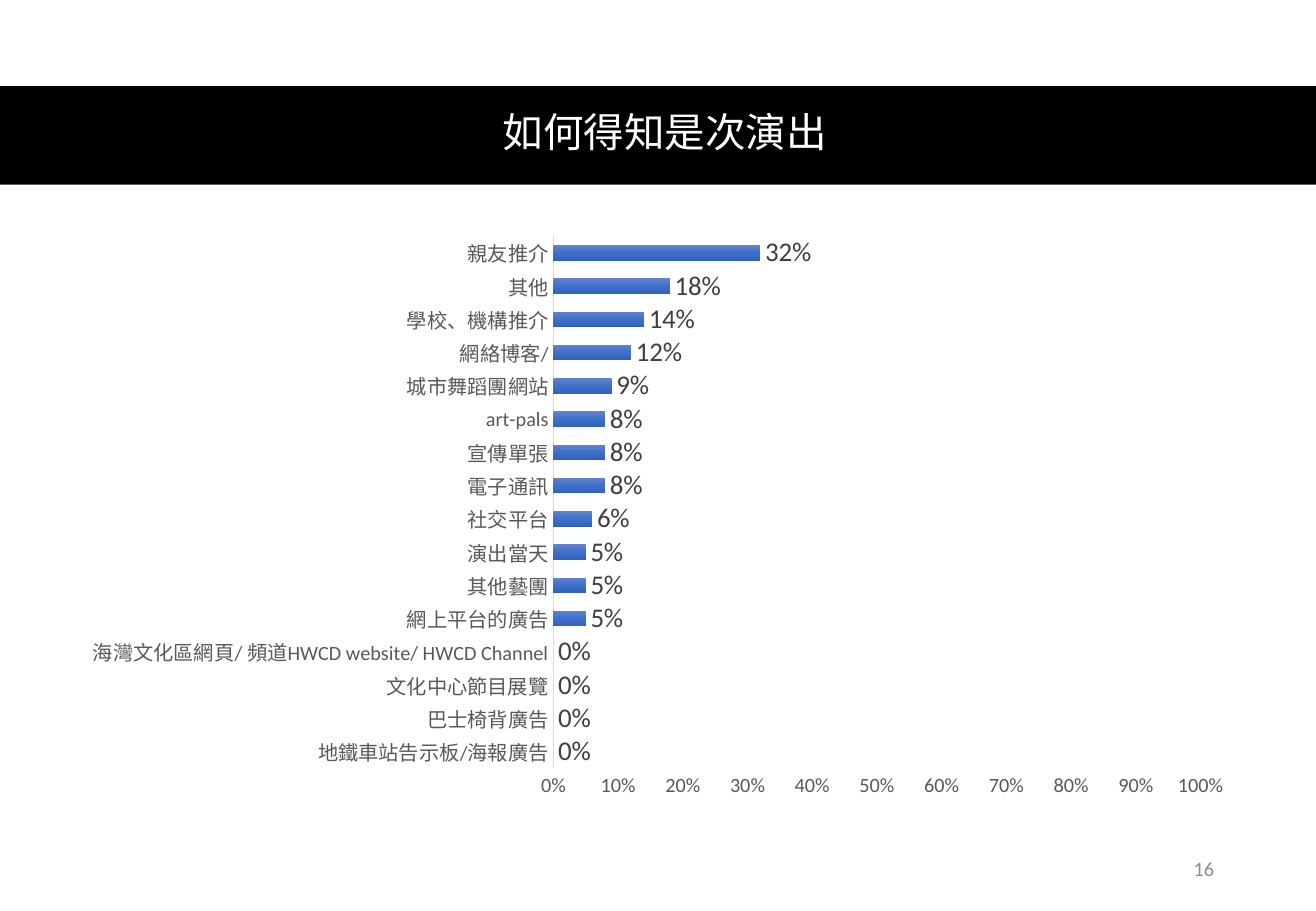
from copy import deepcopy

from pptx import Presentation
from pptx.chart.data import CategoryChartData
from pptx.dml.color import RGBColor
from pptx.enum.chart import XL_CHART_TYPE, XL_LABEL_POSITION, XL_TICK_MARK
from pptx.enum.shapes import MSO_SHAPE
from pptx.enum.text import MSO_ANCHOR, PP_ALIGN
from pptx.util import Inches, Pt

BAR_CLUSTERED = XL_CHART_TYPE.BAR_CLUSTERED
OUTSIDE_END = XL_LABEL_POSITION.OUTSIDE_END
NO_TICK = XL_TICK_MARK.NONE
RECTANGLE = MSO_SHAPE.RECTANGLE
MIDDLE = MSO_ANCHOR.MIDDLE
CENTER, RIGHT = PP_ALIGN.CENTER, PP_ALIGN.RIGHT

BLACK = RGBColor(0x00, 0x00, 0x00)
WHITE = RGBColor(0xFF, 0xFF, 0xFF)
AXIS_TEXT = RGBColor(0x59, 0x59, 0x59)
AXIS_LINE = RGBColor(0xD9, 0xD9, 0xD9)
LABEL_TEXT = RGBColor(0x40, 0x40, 0x40)
NUMBER_TEXT = RGBColor(0x8C, 0x8C, 0x8C)
BAR_GRADIENT = [
    (0, RGBColor(0x61, 0x83, 0xCB)),
    (0.5, RGBColor(0x3E, 0x70, 0xCA)),
    (1, RGBColor(0x30, 0x62, 0xBB)),
]

SOURCES = [
    ("地鐵車站告示板/海報廣告", 0),
    ("巴士椅背廣告", 0),
    ("文化中心節目展覽", 0),
    ("海灣文化區網頁/ 頻道HWCD website/ HWCD Channel", 0),
    ("網上平台的廣告", 0.05),
    ("其他藝團", 0.05),
    ("演出當天", 0.05),
    ("社交平台", 0.06),
    ("電子通訊", 0.08),
    ("宣傳單張", 0.08),
    ("art-pals", 0.08),
    ("城市舞蹈團網站", 0.09),
    ("網絡博客/", 0.12),
    ("學校、機構推介", 0.14),
    ("其他", 0.18),
    ("親友推介", 0.32),
]


def set_font(font, name, size, color):
    for attribute, value in {"name": name, "size": Pt(size), "bold": False}.items():
        setattr(font, attribute, value)
    font.color.rgb = color


def fill_text(frame, text, alignment, name, size, color):
    frame.text = text
    for attribute, value in {"word_wrap": True, "vertical_anchor": MIDDLE}.items():
        setattr(frame, attribute, value)
    paragraph = frame.paragraphs[0]
    paragraph.alignment = alignment
    set_font(paragraph.runs[0].font, name, size, color)
    return paragraph


presentation = Presentation()
presentation.slide_width = Inches(10.83)
presentation.slide_height = Inches(7.5)
slide = presentation.slides.add_slide(presentation.slide_layouts[5])

title = slide.shapes.title
title_place = {"left": 0.49, "top": 0.7, "width": 9.96, "height": 0.81}
for attribute, value in title_place.items():
    setattr(title, attribute, Inches(value))
heading = fill_text(title.text_frame, "如何得知是次演出", CENTER, "Arial", 24, WHITE)
heading.line_spacing = 0.9

band = slide.shapes.add_shape(
    RECTANGLE, Inches(0), Inches(0.71), Inches(10.83), Inches(0.81)
)
band.shadow.inherit = False
band.fill.solid()
band.fill.fore_color.rgb = BLACK
band.line.fill.background()
title.element.addprevious(band.element)

survey = CategoryChartData(number_format="0%")
survey.categories = [source for source, share in SOURCES]
survey.add_series("Series 1", [share for source, share in SOURCES])
chart = slide.shapes.add_chart(
    BAR_CLUSTERED, Inches(0.57), Inches(1.85), Inches(9.69), Inches(4.81), survey
).chart
chart.has_legend = False
chart.has_title = False
set_font(chart.font, "Calibri", 10, BLACK)

for axis in (chart.category_axis, chart.value_axis):
    axis.has_major_gridlines = False
    axis.major_tick_mark = NO_TICK
    axis.minor_tick_mark = NO_TICK
    set_font(axis.tick_labels.font, "Calibri", 12, AXIS_TEXT)

source_line = chart.category_axis.format.line
source_line.color.rgb = AXIS_LINE
source_line.width = Pt(1)

share_axis = chart.value_axis
for attribute, value in {
    "minimum_scale": 0,
    "maximum_scale": 1,
    "major_unit": 0.1,
}.items():
    setattr(share_axis, attribute, value)
share_axis.format.line.fill.background()
share_axis.tick_labels.number_format = "0%"
share_axis.tick_labels.number_format_is_linked = False

plot = chart.plots[0]
for attribute, value in {
    "gap_width": 115,
    "overlap": -20,
    "vary_by_categories": False,
    "has_data_labels": True,
}.items():
    setattr(plot, attribute, value)
for attribute, value in {
    "show_value": True,
    "number_format": "0%",
    "number_format_is_linked": False,
    "position": OUTSIDE_END,
}.items():
    setattr(plot.data_labels, attribute, value)
set_font(plot.data_labels.font, "Calibri", 16, LABEL_TEXT)

shares = plot.series[0]
shares.invert_if_negative = False
bar_fill = shares.format.fill
bar_fill.gradient()
bar_fill.gradient_angle = 270
first_stop = bar_fill.gradient_stops[0]._gs
first_stop.addnext(deepcopy(first_stop))
for stop, (position, color) in zip(bar_fill.gradient_stops, BAR_GRADIENT):
    stop.position = position
    stop.color.rgb = color

page_number = slide.shapes.add_textbox(
    Inches(7.65), Inches(6.95), Inches(2.44), Inches(0.4)
)
fill_text(page_number.text_frame, "16", RIGHT, "Calibri", 12, NUMBER_TEXT)

presentation.save("out.pptx")
